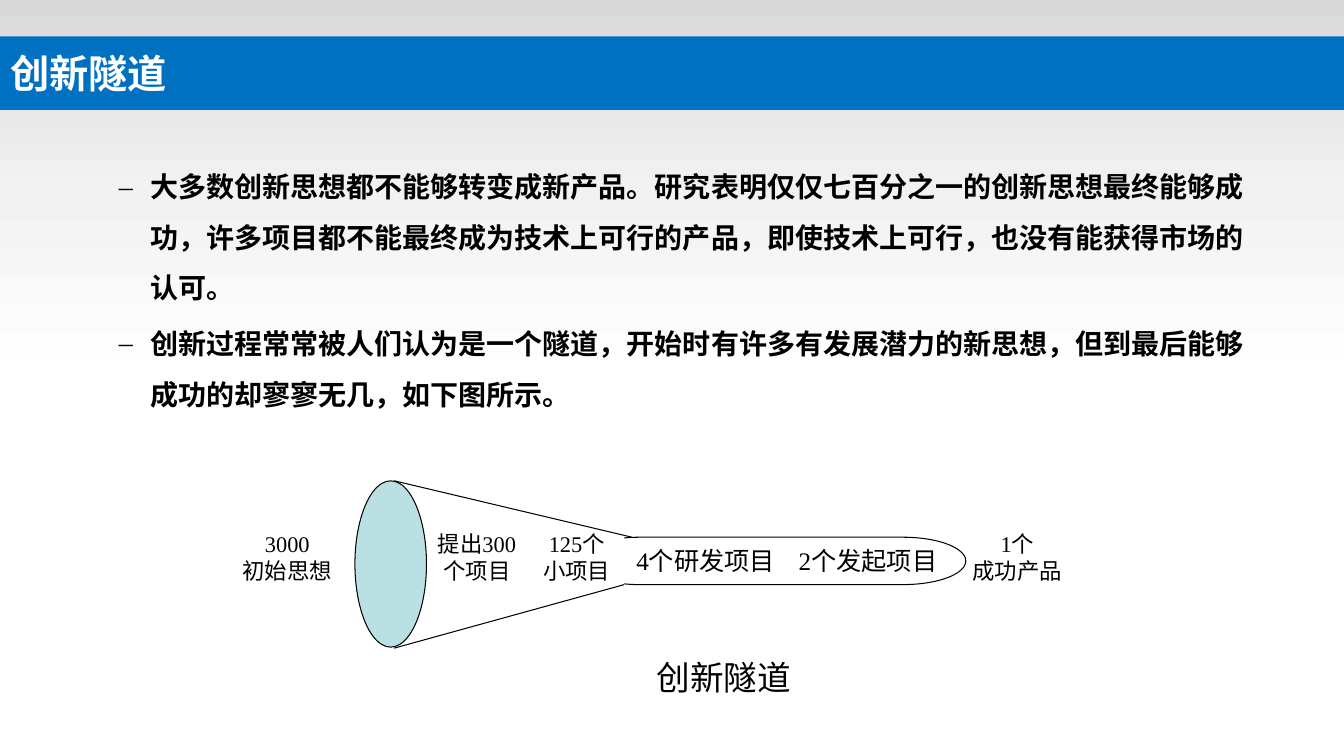
import copy

import pptx
import pptx.dml.color
import pptx.enum.shapes
import pptx.enum.text
import pptx.oxml
import pptx.oxml.ns
import pptx.util

RGB = pptx.dml.color.RGBColor
SHAPE = pptx.enum.shapes.MSO_SHAPE
ALIGN = pptx.enum.text.PP_ALIGN
ANCHOR = pptx.enum.text.MSO_ANCHOR
Pt, Inches = pptx.util.Pt, pptx.util.Inches

TITLE = "创新隧道"
BULLETS = [
    "大多数创新思想都不能够转变成新产品。研究表明仅仅七百分之一的创新思想最终能够成功，"
    "许多项目都不能最终成为技术上可行的产品，即使技术上可行，也没有能获得市场的认可。",
    "创新过程常常被人们认为是一个隧道，开始时有许多有发展潜力的新思想，"
    "但到最后能够成功的却寥寥无几，如下图所示。",
]
# Lines of each funnel label, centre x, centre y
LABELS = [
    (["3000", "初始思想"], 2.85, 5.53),
    (["提出300", "个项目"], 4.73, 5.53),
    (["125个", "小项目"], 5.72, 5.53),
    (["1个", "成功产品"], 10.09, 5.53),
]
TUNNEL_TEXT = "4个研发项目\t2个发起项目"
CAPTION = "创新隧道"

BLACK, WHITE = RGB(0, 0, 0), RGB(255, 255, 255)
BLUE, TEAL = RGB(0x00, 0x70, 0xC0), RGB(0xBB, 0xE0, 0xE3)
GREY, PALE = RGB(0xD9, 0xD9, 0xD9), RGB(0xF2, 0xF2, 0xF2)
SANS, SERIF = "Noto Sans CJK SC", "Times New Roman"

SLIDE_W, SLIDE_H = 13.33, 7.5
MOUTH = (3.52, 4.77, 0.71, 1.65)
TUNNEL = (5.72, 5.33, 3.86, 0.47)
WALLS = [((3.91, 4.77), (6.27, 5.33)), ((3.91, 6.43), (6.19, 5.8))]


def inches(*lengths):
    return [Inches(n) for n in lengths]


def xml(tag, **attrs):
    el = pptx.oxml.parse_xml(f"<a:{tag} {pptx.oxml.ns.nsdecls('a')}/>")
    for name, value in attrs.items():
        el.set(name, str(value))
    return el


def add_run(p, text, size, font=SERIF, color=BLACK, bold=False):
    r = p.add_run()
    r.text = text
    r.font.size, r.font.name, r.font.bold = Pt(size), font, bold
    r.font.color.rgb = color
    r._r.get_or_add_rPr().find(pptx.oxml.ns.qn("a:latin")).addnext(
        xml("ea", typeface=SANS))


def set_frame(tf, margins, anchor, wrap=True):
    tf.auto_size = pptx.enum.text.MSO_AUTO_SIZE.NONE
    tf.word_wrap, tf.vertical_anchor = wrap, anchor
    tf.margin_left, tf.margin_top, tf.margin_right, tf.margin_bottom = inches(*margins)


def add_shape(s, kind, box, fill=None, outlined=False):
    sp = s.shapes.add_shape(kind, *inches(*box))
    sp.shadow.inherit = False
    if fill is None:
        sp.fill.background()
    else:
        sp.fill.solid()
        sp.fill.fore_color.rgb = fill
    if outlined:
        sp.line.color.rgb, sp.line.width = BLACK, Pt(0.75)
    else:
        sp.line.fill.background()
    return sp


def add_label(s, lines, cx, cy, w, h, size):
    """Centre unwrapped lines of text on a point."""
    tf = s.shapes.add_textbox(*inches(cx - w / 2, cy - h / 2, w, h)).text_frame
    set_frame(tf, (0, 0, 0, 0), ANCHOR.MIDDLE, wrap=False)
    for i, line in enumerate(lines):
        p = tf.add_paragraph() if i else tf.paragraphs[0]
        p.alignment = ALIGN.CENTER
        add_run(p, line, size)


def add_header(s):
    shade = add_shape(s, SHAPE.RECTANGLE, (0, 0, SLIDE_W, 3.83), WHITE)
    shade.fill.gradient()
    shade.fill.gradient_angle = 270
    first = shade.fill.gradient_stops[0]._gs
    first.addnext(copy.deepcopy(first))
    for stop, color, pos in zip(shade.fill.gradient_stops, (GREY, PALE, WHITE), (0, 0.5, 1)):
        stop.color.rgb, stop.position = color, pos
    add_shape(s, SHAPE.RECTANGLE, (0, 0.76, SLIDE_W, 0.24), GREY)

    title = s.shapes.title
    s.shapes._spTree.append(title._element)
    title.left, title.top, title.width, title.height = inches(0, 0.36, SLIDE_W, 0.73)
    title.fill.solid()
    title.fill.fore_color.rgb = BLUE
    set_frame(title.text_frame, (0.1, 0.05, 0.1, 0.05), ANCHOR.MIDDLE)
    p = title.text_frame.paragraphs[0]
    p.alignment = ALIGN.LEFT
    add_run(p, TITLE, 28, SANS, WHITE, True)


def add_bullets(s):
    tf = s.shapes.add_textbox(*inches(0.58, 1.47, 12.07, 5.23)).text_frame
    set_frame(tf, (0.1, 0.05, 0.1, 0.05), ANCHOR.TOP)
    for i, text in enumerate(BULLETS):
        p = tf.add_paragraph() if i else tf.paragraphs[0]
        pPr = p._p.get_or_add_pPr()
        pPr.set("marL", str(Inches(0.81)))
        pPr.set("indent", str(Inches(-0.31)))
        pPr.append(xml("buFont", typeface=SERIF))
        pPr.append(xml("buChar", char="–"))
        p.line_spacing = 1.5
        if i:
            p.space_before = Pt(4)
        add_run(p, text, 20, SANS, bold=True)


def add_funnel(s):
    add_shape(s, SHAPE.OVAL, MOUTH, TEAL, outlined=True)
    tunnel = add_shape(s, SHAPE.FLOWCHART_TERMINATOR, TUNNEL, outlined=True)
    # The white patch opens the tunnel's left end towards the funnel
    add_shape(s, SHAPE.RECTANGLE, (5.64, 5.33, 0.55, 0.47), WHITE)
    for start, end in WALLS:
        line = s.shapes.add_connector(
            pptx.enum.shapes.MSO_CONNECTOR.STRAIGHT, *inches(*start, *end))
        line.line.color.rgb, line.line.width = BLACK, Pt(0.75)
        line._element.spPr.append(xml("effectLst"))

    set_frame(tunnel.text_frame, (0.41, 0, 0, 0), ANCHOR.MIDDLE)
    p = tunnel.text_frame.paragraphs[0]
    tabs = xml("tabLst")
    tabs.append(xml("tab", pos=Inches(1.61), algn="l"))
    p._p.get_or_add_pPr().append(tabs)
    p.alignment = ALIGN.LEFT
    add_run(p, TUNNEL_TEXT, 18)

    for lines, cx, cy in LABELS:
        add_label(s, lines, cx, cy, 0.71, 0.71, 16)
    add_label(s, [CAPTION], 7.18, 6.72, 2.6, 0.42, 24)


def main():
    prs = pptx.Presentation()
    prs.slide_width, prs.slide_height = inches(SLIDE_W, SLIDE_H)
    s = prs.slides.add_slide(prs.slide_layouts.get_by_name("Title Only"))
    add_header(s)
    add_bullets(s)
    add_funnel(s)
    prs.save("out.pptx")


if __name__ == "__main__":
    main()
